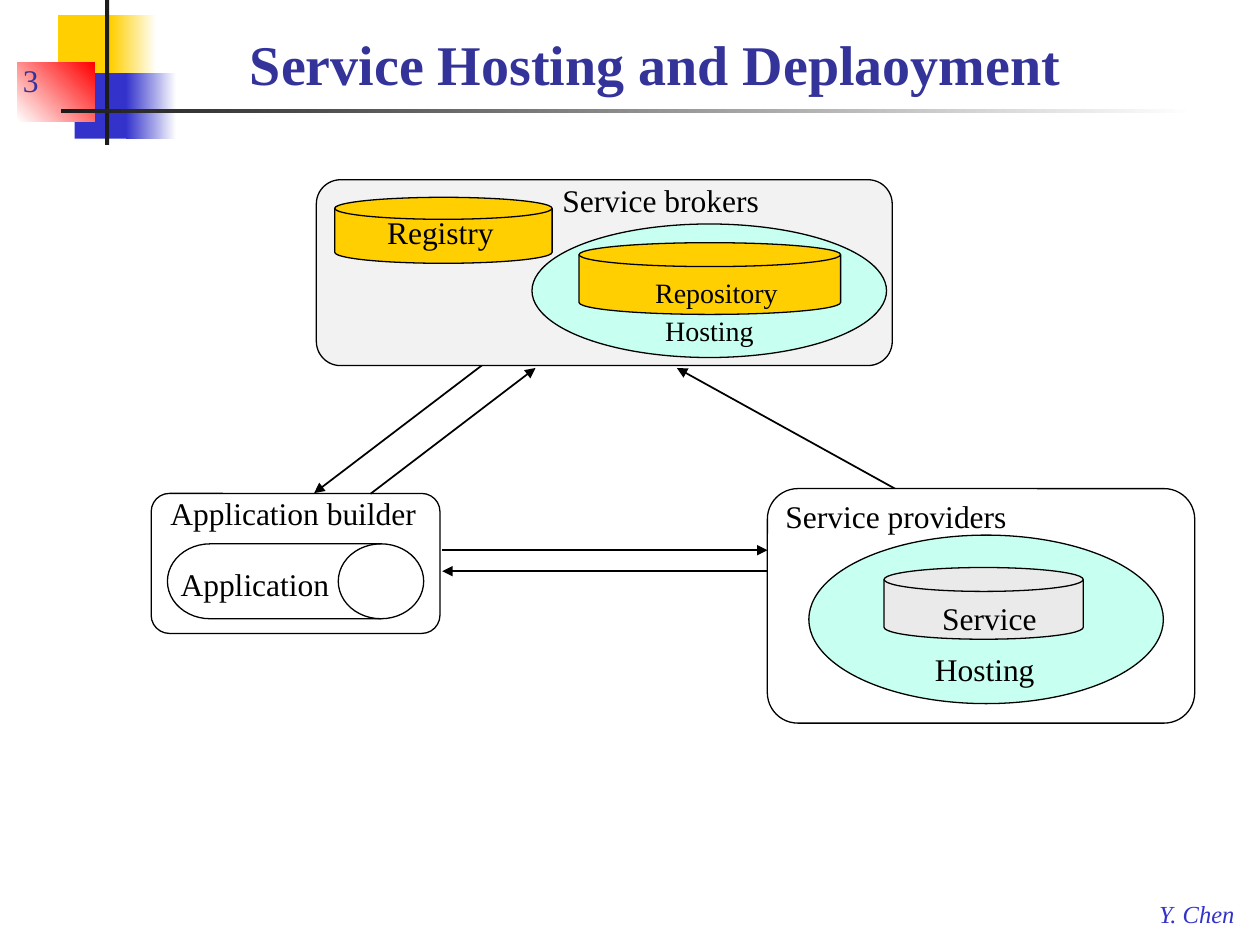
from lxml import etree
from pptx import Presentation
from pptx.dml.color import RGBColor
from pptx.enum.shapes import MSO_CONNECTOR, MSO_SHAPE as Kind
from pptx.enum.text import MSO_ANCHOR as Anchor, PP_ALIGN as Align
from pptx.oxml.ns import qn
from pptx.util import Pt

BLUE, NAVY, GOLD, MINT, DARK = "3333CC", "333399", "FFCF01", "C7FFF0", "1C1C1C"
FONT = "Times New Roman"

deck = Presentation()
deck.slide_width, deck.slide_height = Pt(720), Pt(540)
slide = deck.slides.add_slide(deck.slide_layouts[6])
shapes = slide.shapes
color = RGBColor.from_string


def write(text, left, top, width, height, size=18, ink="000000", bold=False,
          italic=False, align=Align.LEFT, anchor=Anchor.TOP, inset=(0, 0)):
    """Add a text box; inset is the (side, top and bottom) margin."""
    box = shapes.add_textbox(Pt(left), Pt(top), Pt(width), Pt(height))
    frame = box.text_frame
    frame.word_wrap = True
    frame.vertical_anchor = anchor
    frame.margin_left = frame.margin_right = Pt(inset[0])
    frame.margin_top = frame.margin_bottom = Pt(inset[1])
    para = frame.paragraphs[0]
    para.text = text
    para.alignment = align
    font = para.font
    font.name, font.size = FONT, Pt(size)
    font.bold, font.italic = bold, italic
    font.color.rgb = color(ink)


def draw(kind, left, top, width, height, fill=None, fade=None, angle=0, edge=True):
    """Add a shape; fade is the end color of a gradient that starts at fill."""
    shape = shapes.add_shape(kind, Pt(left), Pt(top), Pt(width), Pt(height))
    shape.shadow.inherit = False
    if fade:
        shape.fill.gradient()
        shape.fill.gradient_angle = angle
        for stop, tone in zip(shape.fill.gradient_stops, (fill, fade)):
            stop.color.rgb = color(tone)
    elif fill:
        shape.fill.solid()
        shape.fill.fore_color.rgb = color(fill)
    else:
        shape.fill.background()
    if edge:
        shape.line.color.rgb = color("000000")
        shape.line.width = Pt(0.75)
    else:
        shape.line.fill.background()
    return shape


# Corner ornament
for left, top, width, height, fill, fade, angle in (
    (33.2, 8.6, 34.5, 37.4, GOLD, None, 0),
    (63.3, 8.6, 26, 37.4, GOLD, "FFFFFF", 0),
    (42.6, 41.8, 33, 37.4, BLUE, None, 0),
    (72, 41.8, 28.8, 37.4, BLUE, "FFFFFF", 0),
    (10, 36, 44.2, 33.5, "FFFFFF", "FF0000", 45),
    (60, 0, 2.4, 82.8, DARK, None, 0),
    (34.8, 62.2, 648, 2.3, DARK, "FFFFFF", 0),
):
    draw(Kind.RECTANGLE, left, top, width, height, fill, fade, angle, edge=False)

write("Y. Chen", 655.2, 510, 62, 24, size=14, ink=BLUE, italic=True, inset=(7.2, 3.6))
write("3", 6, 23.8, 57, 36, ink=NAVY, anchor=Anchor.BOTTOM, inset=(7.2, 3.6))
write("Service Hosting and Deplaoyment", 102.2, 6, 545, 60, size=32, ink=NAVY,
      bold=True, align=Align.CENTER, anchor=Anchor.MIDDLE, inset=(7.9, 3.6))

# Arrows between the three parties
for start, end in (
    ((283, 203), (179.5, 281.8)),
    ((211.7, 282.2), (306, 210.3)),
    ((515.5, 281.5), (386.8, 210.3)),
    ((252.7, 314.4), (438.6, 314.4)),
    ((438.6, 326.4), (252.7, 326.4)),
):
    arrow = shapes.add_connector(MSO_CONNECTOR.STRAIGHT, *map(Pt, start + end))
    arrow.line.color.rgb = color("000000")
    arrow.line.width = Pt(1)
    etree.SubElement(arrow.line._get_or_add_ln(), qn("a:tailEnd"), type="triangle")
    etree.SubElement(arrow._element.spPr, qn("a:effectLst"))

# Brokers, providers, builder
for left, top, width, height, fill in (
    (180.8, 102.7, 329.1, 106.2, "F2F2F2"),
    (438.5, 279.2, 244.2, 134, "FFFFFF"),
    (86.4, 282, 165, 80, None),
):
    panel = draw(Kind.ROUNDED_RECTANGLE, left, top, width, height, fill)
    panel.adjustments[0] = 0.13

# Hosts and the stores on them
draw(Kind.OVAL, 304, 128, 202.6, 76.3, MINT)
draw(Kind.OVAL, 462.2, 305.8, 202.6, 96.3, MINT)
for left, top, width, height, fill in (
    (191.3, 112.8, 124.2, 37.7, GOLD),
    (330.9, 138.7, 149.5, 41, GOLD),
    (505.2, 324.3, 113.8, 41, "EAEAEA"),
):
    draw(Kind.FLOWCHART_MAGNETIC_DISK, left, top, width, height, fill)
draw(Kind.FLOWCHART_DIRECT_ACCESS_STORAGE, 95.7, 310.8, 146.4, 42.8)

for text, left, top, width, size in (
    ("Service brokers", 321.3, 103.2, 140, 18),
    ("Registry", 221.2, 122, 76, 18),
    ("Repository", 374.4, 157.2, 79, 16),
    ("Hosting", 380.1, 179.4, 60, 16),
    ("Service providers", 448.8, 284, 140, 18),
    ("Service", 538.4, 342.4, 60, 18),
    ("Hosting", 534.2, 371.3, 65, 18),
    ("Application builder", 97.4, 282.4, 150, 18),
    ("Application", 103.2, 323, 92, 18),
):
    write(text, left, top, width, 21.6, size=size)

deck.save("out.pptx")
